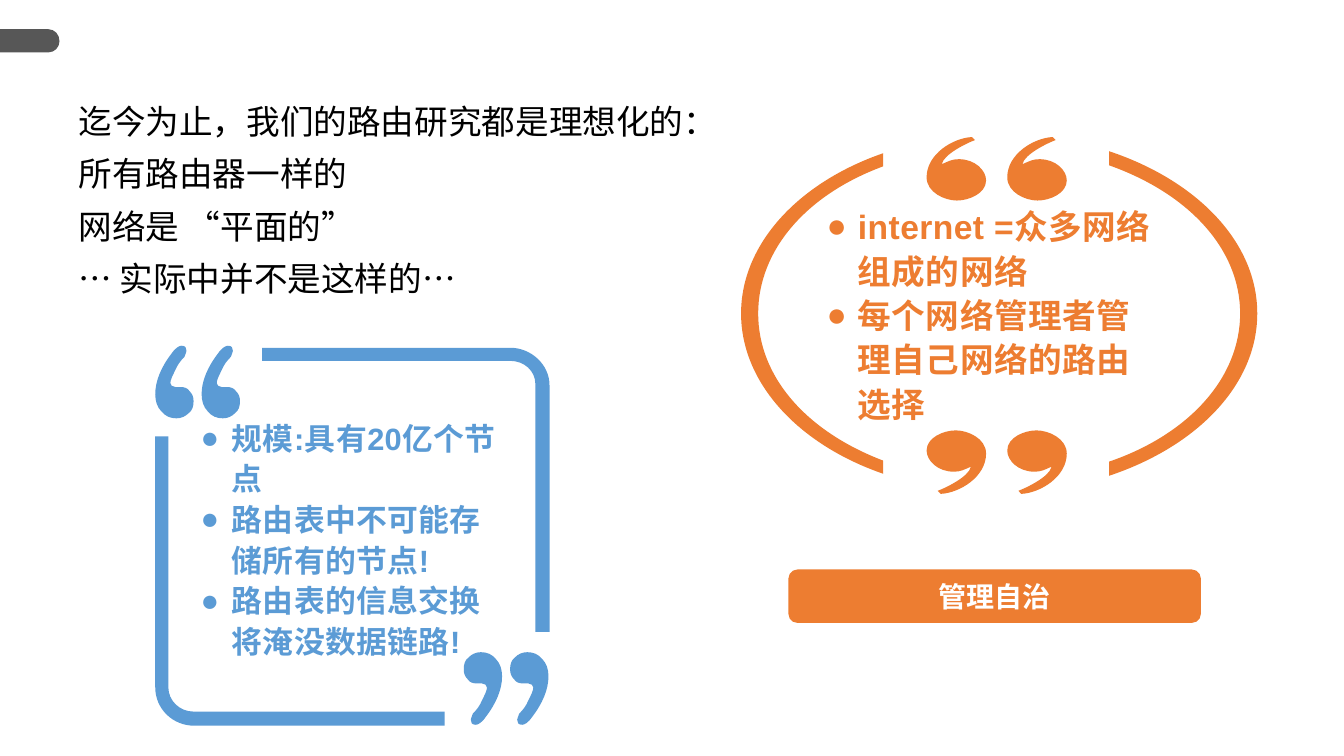
from lxml import etree
from pptx import Presentation
from pptx import util as u
from pptx.dml import color
from pptx.enum import shapes, text
from pptx.oxml import ns

COLORS = {"tab": "575757", "blue": "5B9BD5", "orange": "ED7D31", "ink": "000000", "white": "FFFFFF"}
CJK = "Noto Sans CJK SC"

TAB = [(0, 29), (48, 29), (54, 29, 59, 34, 59, 41), (59, 47, 54, 52, 48, 52), (0, 52)]
BLUE_LOWER = [(192, 706), (178, 706, 167, 695, 167, 682), (167, 433), (154, 433), (154, 682),
              (154, 703, 171, 720, 193, 720), (441, 720), (441, 706)]
BLUE_UPPER = [(506, 358), (520, 358, 531, 368, 531, 381), (531, 627), (545, 627), (545, 382),
              (545, 362, 527, 345, 506, 345), (260, 345), (260, 358)]
ARC_LEFT = [(752, 311), (752, 248, 800, 193, 876, 165), (876, 152), (792, 181, 735, 242, 735, 311),
            (735, 380, 792, 441, 876, 470), (876, 457), (800, 428, 752, 374, 752, 311)]
ARC_RIGHT = [(1247, 311), (1247, 240, 1187, 179, 1100, 150), (1100, 164),
             (1179, 192, 1230, 247, 1230, 311), (1230, 375, 1179, 431, 1100, 458), (1100, 472),
             (1187, 443, 1247, 382, 1247, 311)]
BLUE_QUOTE = [(15, 37), (15, 39, 17, 41, 20, 41), (25, 41), (29, 41, 32, 42, 34, 45),
              (37, 48, 38, 51, 38, 55), (38, 60, 37, 64, 33, 67), (30, 70, 26, 72, 21, 72),
              (15, 72, 10, 70, 6, 65), (2, 61, 0, 55, 0, 48), (0, 35, 6, 21, 16, 8),
              (20, 2, 24, 0, 26, 0), (30, 0, 31, 2, 31, 5), (31, 6, 30, 8, 29, 11),
              (25, 15, 22, 19, 20, 24), (17, 30, 15, 34, 15, 37)]
ORANGE_QUOTE = [(0, 20), (0, 7, 17, 0, 29, 0), (41, 0, 59, 8, 59, 23), (59, 46, 33, 62, 14, 63),
                (11, 60), (19, 57, 42, 46, 44, 36), (37, 39, 34, 41, 27, 41), (11, 41, 0, 30, 0, 20)]


def quote_pair(glyph, left, top, pitch, width, height, turned=False):
    """Place two quote marks side by side, optionally turned by half a circle."""
    sign = -1 if turned else 1
    x0, y0 = (left + width, top + height) if turned else (left, top)
    return [[tuple(y0 + sign * n if i % 2 else x0 + sign * (n + shift) for i, n in enumerate(seg))
             for seg in glyph] for shift in (0, pitch)]


class Deck:
    """Holds the style and the current slide, with lengths in px of 1/100 inch."""

    def __init__(self, width, height):
        self.prs = Presentation()
        self.prs.slide_width, self.prs.slide_height = self.px(width), self.px(height)
        self.s = self.prs.slides.add_slide(self.prs.slide_layouts[6])

    def px(self, n):
        return u.Emu(round(n * 9144))

    def rgb(self, name):
        return color.RGBColor.from_string(COLORS[name])

    def paint(self, sp, fill):
        sp.shadow.inherit = False
        sp.fill.solid()
        sp.fill.fore_color.rgb = self.rgb(fill)
        sp.line.fill.background()

    def outline(self, contours, fill):
        contours = [[tuple(map(self.px, seg)) for seg in c] for c in contours]
        builder = self.s.shapes.build_freeform(*contours[0][0])
        for i, c in enumerate(contours):
            if i:
                builder.move_to(*c[0])
            builder.add_line_segments([seg[-2:] for seg in c[1:]])
        sp = builder.convert_to_shape()
        self.paint(sp, fill)
        segments = [seg for c in contours for seg in c[1:]]
        for line, seg in zip(list(sp._element.iter(ns.qn("a:lnTo"))), segments):
            if len(seg) == 6:
                curve = etree.Element(ns.qn("a:cubicBezTo"))
                for x, y in zip(seg[::2], seg[1::2]):
                    etree.SubElement(curve, ns.qn("a:pt"), x=str(x - sp.left), y=str(y - sp.top))
                line.getparent().replace(line, curve)

    def run(self, p, words, size, ink, font, bold, spacing=0):
        r = p.add_run()
        r.text = words
        r.font.size, r.font.bold, r.font.name = u.Pt(size), bold, font
        r.font.color.rgb = self.rgb(ink)
        rpr = r.font._element
        etree.SubElement(rpr, ns.qn("a:ea")).set("typeface", CJK)
        if spacing:
            rpr.set("spc", str(spacing))

    def textbox(self, box, lines, size, ink, font, spacing, bullets=False):
        tf = self.s.shapes.add_textbox(*map(self.px, box)).text_frame
        tf.word_wrap = True
        if bullets:
            tf.vertical_anchor = text.MSO_ANCHOR.MIDDLE
            tf.margin_left = tf.margin_right = tf.margin_top = tf.margin_bottom = self.px(3)
        for i, words in enumerate(lines):
            p = tf.add_paragraph() if i else tf.paragraphs[0]
            p.line_spacing = spacing
            if bullets:
                ppr = p._p.get_or_add_pPr()
                ppr.set("marL", str(self.px(31)))
                ppr.set("indent", str(self.px(-31)))
                etree.SubElement(ppr, ns.qn("a:buFont")).set("typeface", "Arial")
                etree.SubElement(ppr, ns.qn("a:buChar")).set("char", "●")
            self.run(p, words, size, ink, font, bullets, 30 if bullets else 0)

    def banner(self, box, words, fill):
        sp = self.s.shapes.add_shape(shapes.MSO_SHAPE.ROUNDED_RECTANGLE, *map(self.px, box))
        self.paint(sp, fill)
        sp.text_frame.word_wrap = False
        p = sp.text_frame.paragraphs[0]
        p.alignment = text.PP_ALIGN.CENTER
        self.run(p, words, 20, "white", "Arial", True)


def main():
    """Build the slide and save it."""
    deck = Deck(1333, 750)
    deck.outline([TAB], "tab")
    deck.textbox((68, 83, 749, 216), ["迄今为止，我们的路由研究都是理想化的：", "所有路由器一样的",
                                      "网络是 “平面的”", "… 实际中并不是这样的…"],
                 24, "ink", CJK, 1.3)
    for path in (BLUE_LOWER, BLUE_UPPER):
        deck.outline([path], "blue")
    deck.outline(quote_pair(BLUE_QUOTE, 460, 647, 46, 84, 72, turned=True), "blue")
    deck.outline(quote_pair(BLUE_QUOTE, 154, 343, 46, 84, 72), "blue")
    deck.textbox((196, 410, 305, 247), ["规模:具有20亿个节点", "路由表中不可能存储所有的节点!",
                                        "路由表的信息交换将淹没数据链路!"],
                 22, "blue", "Arial", 1.1, bullets=True)
    for path in (ARC_LEFT, ARC_RIGHT):
        deck.outline([path], "orange")
    deck.outline(quote_pair(ORANGE_QUOTE, 919, 427, 80, 139, 63), "orange")
    deck.outline(quote_pair(ORANGE_QUOTE, 919, 135, 80, 139, 64, turned=True), "orange")
    deck.textbox((817, 185, 334, 251), ["internet =众多网络组成的网络", "每个网络管理者管理自己网络的路由选择"],
                 24, "orange", "Arial", 1.1, bullets=True)
    deck.banner((782, 565, 409, 53), "管理自治", "orange")
    deck.prs.save("out.pptx")


if __name__ == "__main__":
    main()
